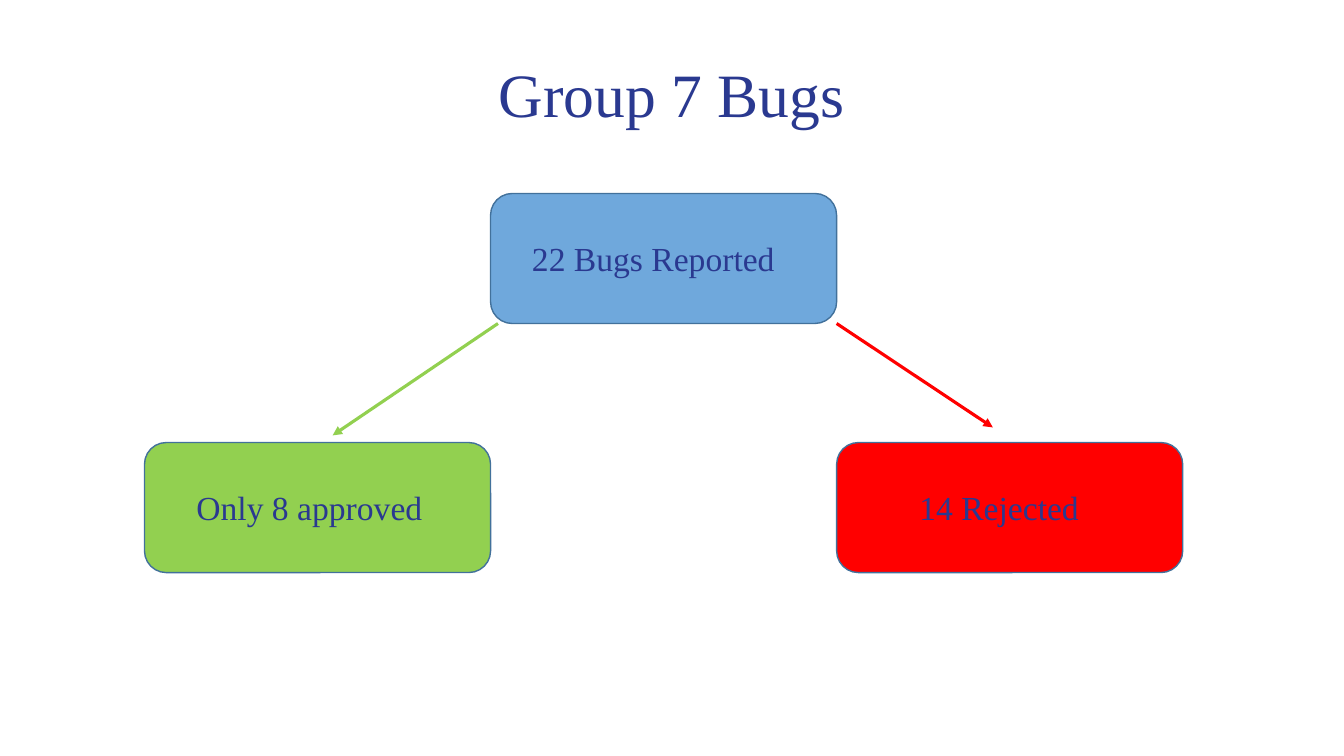
from lxml.etree import SubElement
from pptx import Presentation
from pptx.dml.color import RGBColor
from pptx.enum.shapes import MSO_CONNECTOR, MSO_SHAPE
from pptx.enum.text import MSO_ANCHOR, PP_ALIGN
from pptx.oxml.ns import qn
from pptx.util import Pt

NAVY = RGBColor(0x2A, 0x39, 0x90)
BLUE = RGBColor(0x6F, 0xA8, 0xDC)
GREEN = RGBColor(0x92, 0xD0, 0x50)
RED = RGBColor(0xFF, 0x00, 0x00)
OUTLINE = RGBColor(0x42, 0x71, 0x9B)

BOX_WIDTH, BOX_HEIGHT = 247.2, 92.9
LEFT_COLUMN = 103.2
REPORTED_TOP, OUTCOME_TOP = 138.2, 316.1
LABEL_DROP = 28.4

prs = Presentation()
prs.slide_width, prs.slide_height = Pt(960), Pt(540)
slide = prs.slides.add_slide(prs.slide_layouts[6])


def add_text(text, left, top, width, height, size):
    frame = slide.shapes.add_textbox(Pt(left), Pt(top), Pt(width), Pt(height)).text_frame
    frame.word_wrap = True
    frame.text = text
    font = frame.paragraphs[0].runs[0].font
    font.name, font.size = "Times New Roman", Pt(size)
    font.color.rgb = NAVY
    return frame


title = add_text("Group 7 Bugs", 66, 17.3, 828, 104.4, 44)
title.vertical_anchor = MSO_ANCHOR.MIDDLE
title.paragraphs[0].alignment = PP_ALIGN.CENTER
title.paragraphs[0].line_spacing = 0.9

# Label, column, box top, fill, label indent, label width
stages = [
    ("22 Bugs Reported", 1, REPORTED_TOP, BLUE, 22.5, 202.3),
    ("Only 8 approved", 0, OUTCOME_TOP, GREEN, 30, 187.2),
    ("14 Rejected", 2, OUTCOME_TOP, RED, 52, 144.7),
]
for label, column, top, fill, indent, label_width in stages:
    left = LEFT_COLUMN + column * BOX_WIDTH
    box = slide.shapes.add_shape(
        MSO_SHAPE.ROUNDED_RECTANGLE, Pt(left), Pt(top), Pt(BOX_WIDTH), Pt(BOX_HEIGHT))
    box.shadow.inherit = False
    box.fill.solid()
    box.fill.fore_color.rgb = fill
    box.line.color.rgb = OUTLINE
    box.line.width = Pt(1)
    add_text(label, left + indent, top + LABEL_DROP, label_width, 36, 24)

# Start x, end x, end y, colour
branches = [
    (355.7, 237.6, 311, GREEN),
    (597.6, 709.2, 305.3, RED),
]
for start_x, end_x, end_y, color in branches:
    arrow = slide.shapes.add_connector(
        MSO_CONNECTOR.STRAIGHT, Pt(start_x), Pt(REPORTED_TOP + BOX_HEIGHT), Pt(end_x), Pt(end_y))
    arrow.line.color.rgb = color
    arrow.line.width = Pt(2.25)
    SubElement(arrow.line._get_or_add_ln(), qn("a:tailEnd"), type="triangle")
    SubElement(arrow._element.spPr, qn("a:effectLst"))

prs.save("out.pptx")
